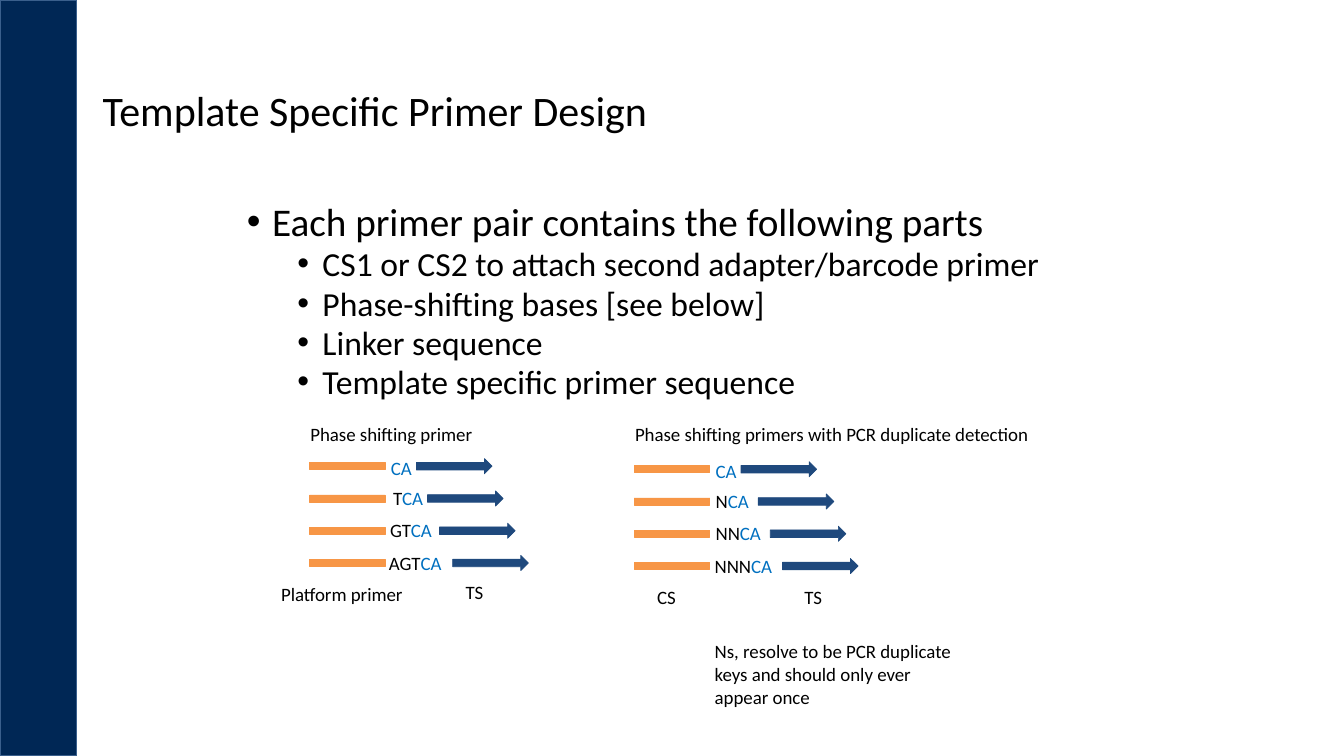
import pptx
import pptx.dml.color
import pptx.enum.shapes
import pptx.enum.text
import pptx.util
from lxml import etree

PX = 9144  # EMU per px, 100 px to the inch
COLORS = {"navy": "002755", "edge": "3A5F8C", "arrow": "1F497D",
          "bar": "F79646", "text": "000000", "linker": "0070C0"}
SHAPES = pptx.enum.shapes.MSO_SHAPE
LABEL_SIZE = 13.5
LABEL_HEIGHT = 33
BAR_WIDTH, BAR_HEIGHT = 75, 7
ARROW_HEIGHT = 15
ROW_PITCH = 32


def color(name):
    return pptx.dml.color.RGBColor.from_string(COLORS[name])


def emu(*lengths):
    return [pptx.util.Emu(length * PX) for length in lengths]


def set_values(target, values):
    for name, value in values.items():
        setattr(target, name, value)


def add_block(slide, kind, box, fill, line, line_width):
    shape = slide.shapes.add_shape(kind, *emu(*box))
    shape.shadow.inherit = False
    shape.fill.solid()
    shape.fill.fore_color.rgb = color(fill)
    shape.line.color.rgb = color(line)
    shape.line.width = pptx.util.Pt(line_width)


def add_frame(slide, box, **values):
    frame = slide.shapes.add_textbox(*emu(*box)).text_frame
    set_values(frame, {"word_wrap": True, **values})
    return frame


def add_run(paragraph, text, size, color_name="text"):
    run = paragraph.add_run()
    run.text = text
    set_values(run.font, {"name": "Calibri", "size": pptx.util.Pt(size)})
    run.font.color.rgb = color(color_name)


def add_label(slide, box, *runs):
    paragraph = add_frame(slide, box).paragraphs[0]
    for text, color_name in runs:
        add_run(paragraph, text, LABEL_SIZE, color_name)


def add_title(slide, box, text):
    frame = add_frame(slide, box,
                      vertical_anchor=pptx.enum.text.MSO_ANCHOR.MIDDLE)
    frame.paragraphs[0].line_spacing = 0.9
    add_run(frame.paragraphs[0], text, 30)


def add_bullets(slide, box, items):
    frame = add_frame(slide, box)
    for index, (level, text) in enumerate(items):
        paragraph = frame.add_paragraph() if index else frame.paragraphs[0]
        set_values(paragraph, {
            "level": level, "line_spacing": 0.8,
            "space_before": pptx.util.Pt((10, 5)[level])})
        add_run(paragraph, text, (28, 24)[level])
        # Hanging indent and bullet sign
        properties = paragraph._p.get_or_add_pPr()
        properties.set("marL", str((25, 75)[level] * PX))
        properties.set("indent", str(-25 * PX))
        namespace = properties.nsmap["a"]
        font = etree.SubElement(properties, f"{{{namespace}}}buFont")
        font.set("typeface", "Arial")
        bullet = etree.SubElement(properties, f"{{{namespace}}}buChar")
        bullet.set("char", "•")


def add_primer_diagram(slide, box, rows, labels):
    """Rows hold bases, text offset and arrow offset; labels hold text and box."""
    left, top = box
    for index, (bases, text_offset, arrow_offset) in enumerate(rows):
        bar_top = top + index * ROW_PITCH
        add_block(slide, SHAPES.RECTANGLE,
                  (left, bar_top, BAR_WIDTH, BAR_HEIGHT), "bar", "bar", 0.5)
        add_block(slide, SHAPES.RIGHT_ARROW,
                  (left + arrow_offset, bar_top - 4, BAR_WIDTH, ARROW_HEIGHT),
                  "arrow", "arrow", 0.5)
        # Phase-shifting bases, then the linker
        runs = [(bases, "text")] if bases else []
        text_top = bar_top - (13 if bases else 11)
        add_label(slide, (left + text_offset, text_top, 100, LABEL_HEIGHT),
                  *runs, ("CA", "linker"))
    for text, x, y, width, height in labels:
        add_label(slide, (left + x, top + y, width, height), (text, "text"))


def main():
    presentation = pptx.Presentation()
    set_values(presentation, dict(zip(("slide_width", "slide_height"),
                                      emu(1333, 750))))
    slide = presentation.slides.add_slide(presentation.slide_layouts[6])

    # Side band, title and bullets
    add_block(slide, SHAPES.RECTANGLE, (0, 0, 76, 750), "navy", "edge", 1)
    add_title(slide, (92, 40, 1150, 145), "Template Specific Primer Design")
    add_bullets(slide, (235, 200, 862, 214), [
        (0, "Each primer pair contains the following parts"),
        (1, "CS1 or CS2 to attach second adapter/barcode primer"),
        (1, "Phase-shifting bases [see below]"),
        (1, "Linker sequence"),
        (1, "Template specific primer sequence")])

    # Phase shifting primers, without and with duplicate detection
    add_primer_diagram(
        slide, (307, 459),
        [("", 71, 106), ("T", 73, 117), ("GT", 70, 129), ("AGT", 69, 142)],
        [("Phase shifting primer", -9, -45, 197, LABEL_HEIGHT),
         ("Platform primer", -38, 114, 176, LABEL_HEIGHT),
         ("TS", 145, 112, 89, LABEL_HEIGHT)])
    add_primer_diagram(
        slide, (629, 462),
        [("", 71, 106), ("N", 71, 123), ("NN", 71, 135), ("NNN", 70, 147)],
        [("Phase shifting primers with PCR duplicate detection",
          -9, -48, 440, LABEL_HEIGHT),
         ("CS", 13, 114, 89, LABEL_HEIGHT),
         ("TS", 159, 114, 89, LABEL_HEIGHT),
         ("Ns, resolve to be PCR duplicate keys and should only ever "
          "appear once", 70, 168, 255, 78)])

    presentation.save("out.pptx")


if __name__ == "__main__":
    main()
